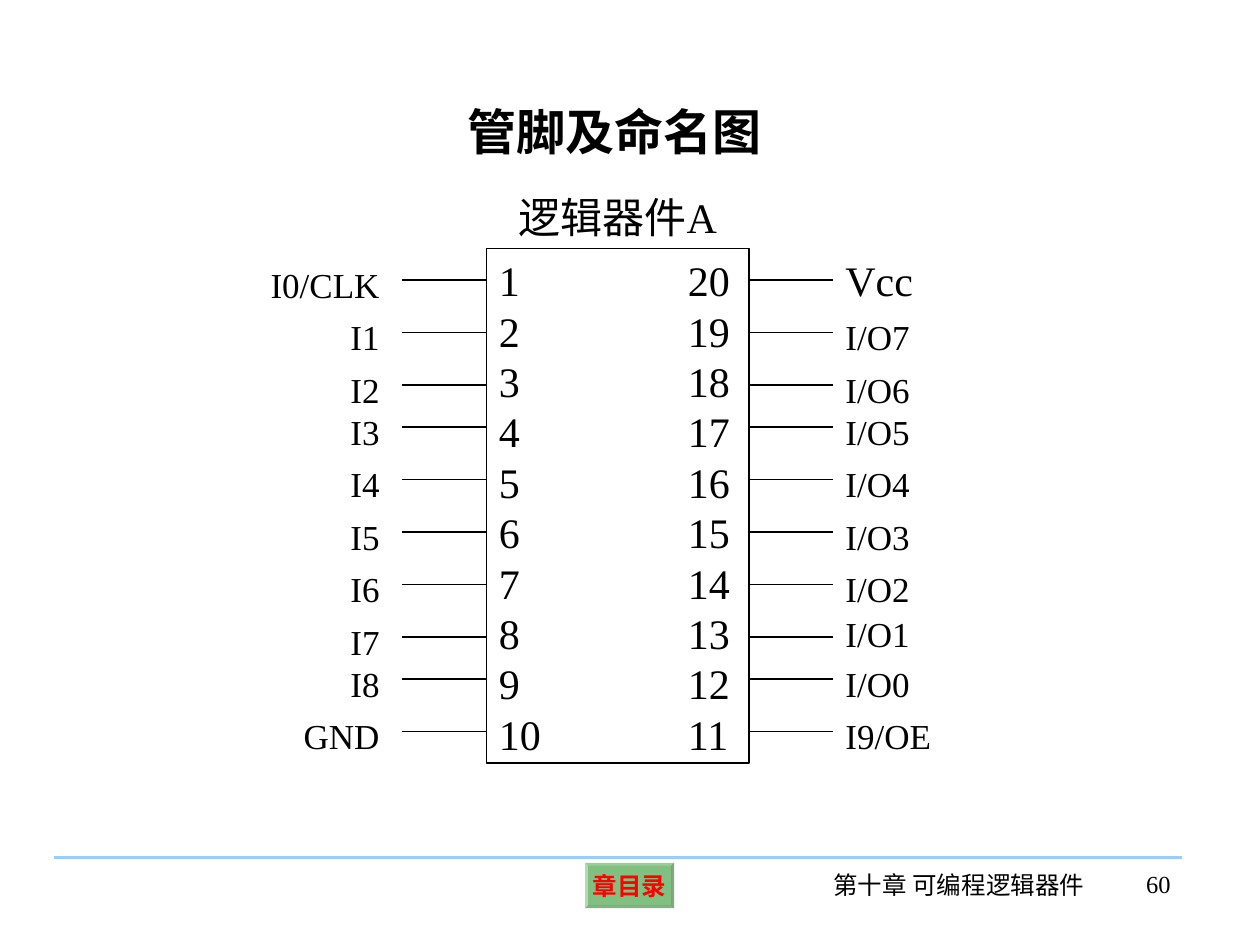
import itertools
import pptx
import pptx.util
import pptx.dml.color
import pptx.enum.shapes
import pptx.enum.text
import pptx.oxml.ns
import lxml.etree

Pt = pptx.util.Pt
RGBColor = pptx.dml.color.RGBColor
Shape = pptx.enum.shapes.MSO_SHAPE
Align = pptx.enum.text.PP_ALIGN
Anchor = pptx.enum.text.MSO_ANCHOR
qn = pptx.oxml.ns.qn

BLACK = RGBColor(0x00, 0x00, 0x00)
WHITE = RGBColor(0xFF, 0xFF, 0xFF)
RED = RGBColor(0xFF, 0x00, 0x00)
GREEN = RGBColor(0x00, 0x80, 0x00)
BLUE = RGBColor(0x99, 0xCC, 0xFF)
SERIF = "Times New Roman"
SANS = "Noto Sans CJK SC"

LEFT = ["I0/CLK", "I1", "I2", "I3", "I4", "I5", "I6", "I7", "I8", "GND"]
RIGHT = ["Vcc", "I/O7", "I/O6", "I/O5", "I/O4", "I/O3", "I/O2", "I/O1", "I/O0", "I9/OE"]
STEPS = [18, 30, 30, 24, 30, 30, 30, 30, 24, 30]


def write(frame, text, size, align=Align.LEFT, color=BLACK, bold=False, face=SERIF):
    frame.text = text
    para = frame.paragraphs[0]
    para.alignment = align
    run = para.runs[0]
    run.font.size = Pt(size)
    run.font.bold = bold
    run.font.color.rgb = color
    run.font.name = face
    east = lxml.etree.SubElement(run.font._element, qn("a:ea"))
    east.set("typeface", SANS)


def label(shapes, box, text, size, align=Align.LEFT, **style):
    frame = shapes.add_textbox(*map(Pt, box)).text_frame
    frame.word_wrap = True
    write(frame, text, size, align, **style)
    return frame


def rule(shapes, start, end, y, color=BLACK, width=0.75):
    line = shapes.add_connector(
        pptx.enum.shapes.MSO_CONNECTOR.STRAIGHT, Pt(start), Pt(y), Pt(end), Pt(y))
    line.line.color.rgb = color
    line.line.width = Pt(width)
    lxml.etree.SubElement(line._element.spPr, qn("a:effectLst"))


def title(slide, box):
    frame = label(slide.shapes, box, "管脚及命名图", 28, bold=True, face=SANS)
    frame.vertical_anchor = Anchor.MIDDLE


def chip(slide, left, top, width, height):
    shapes = slide.shapes.add_group_shape().shapes
    body = shapes.add_shape(Shape.RECTANGLE, Pt(left), Pt(top), Pt(width), Pt(height))
    body.shadow.inherit = False
    body.fill.solid()
    body.fill.fore_color.rgb = WHITE
    body.line.color.rgb = BLACK
    body.line.width = Pt(0.75)
    label(shapes, (left, top - 36, width, 36), "逻辑器件A", 24, Align.CENTER)

    right, lead, wide, strip = left + width, 48, 90, 42
    for x, pins in ((left, range(1, 11)), (right - strip, range(20, 10, -1))):
        frame = label(shapes, (x, top, strip, height), " ".join(map(str, pins)), 24)
        frame.paragraphs[0].line_spacing = Pt(28.8)

    for step, near, far in zip(itertools.accumulate(STEPS), LEFT, RIGHT):
        y = top + step
        rule(shapes, left - lead, left, y)
        rule(shapes, right, right + lead, y)
        label(shapes, (left - lead - wide - 6, y - 13, wide, 31.5), near, 20, Align.RIGHT)
        size = 24 if far == "Vcc" else 20
        lift = {"Vcc": 18, "I/O1": 17.5}.get(far, 13)
        label(shapes, (right + lead, y - lift, wide, size + 12), far, size)


def footer(slide, left, top, width):
    shapes = slide.shapes
    rule(shapes, left, left + width, top, BLUE, 2.25)
    key = shapes.add_shape(Shape.BEVEL, Pt(left + 303.3), Pt(top + 3), Pt(51), Pt(26))
    key.adjustments[0] = 0.07
    key.shadow.inherit = False
    key.fill.solid()
    key.fill.fore_color.rgb = GREEN
    color = key._element.spPr.find(qn("a:solidFill"))[0]
    lxml.etree.SubElement(color, qn("a:alpha")).set("val", "49000")
    key.line.fill.background()
    frame = key.text_frame
    frame.word_wrap = False
    frame.vertical_anchor = Anchor.MIDDLE
    frame.margin_left = frame.margin_right = Pt(3)
    frame.margin_top = frame.margin_bottom = Pt(3)
    write(frame, "章目录", 14, Align.CENTER, RED, True)
    label(shapes, (left + 428.5, top + 3.5, 177, 36), "第十章 可编程逻辑器件", 14, Align.CENTER)
    label(shapes, (left + 583, top + 3, 62, 36), "60", 14, Align.RIGHT)


def main():
    deck = pptx.Presentation()
    deck.slide_width, deck.slide_height = Pt(720), Pt(540)
    slide = deck.slides.add_slide(deck.slide_layouts[6])
    footer(slide, 31, 490, 644.5)
    title(slide, (260, 48, 186.5, 54))
    chip(slide, 278, 142, 150, 294)
    deck.save("out.pptx")


if __name__ == "__main__":
    main()
